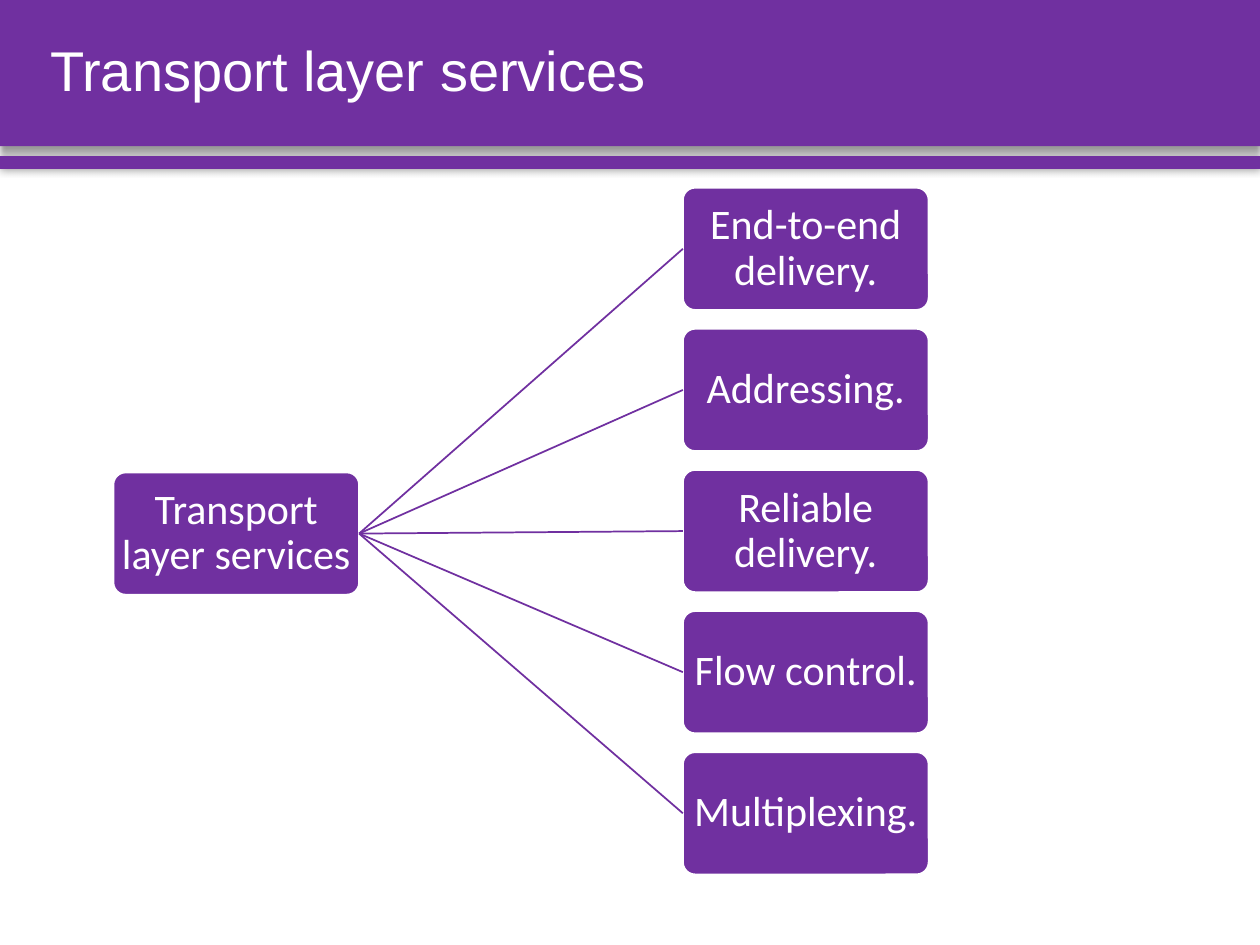
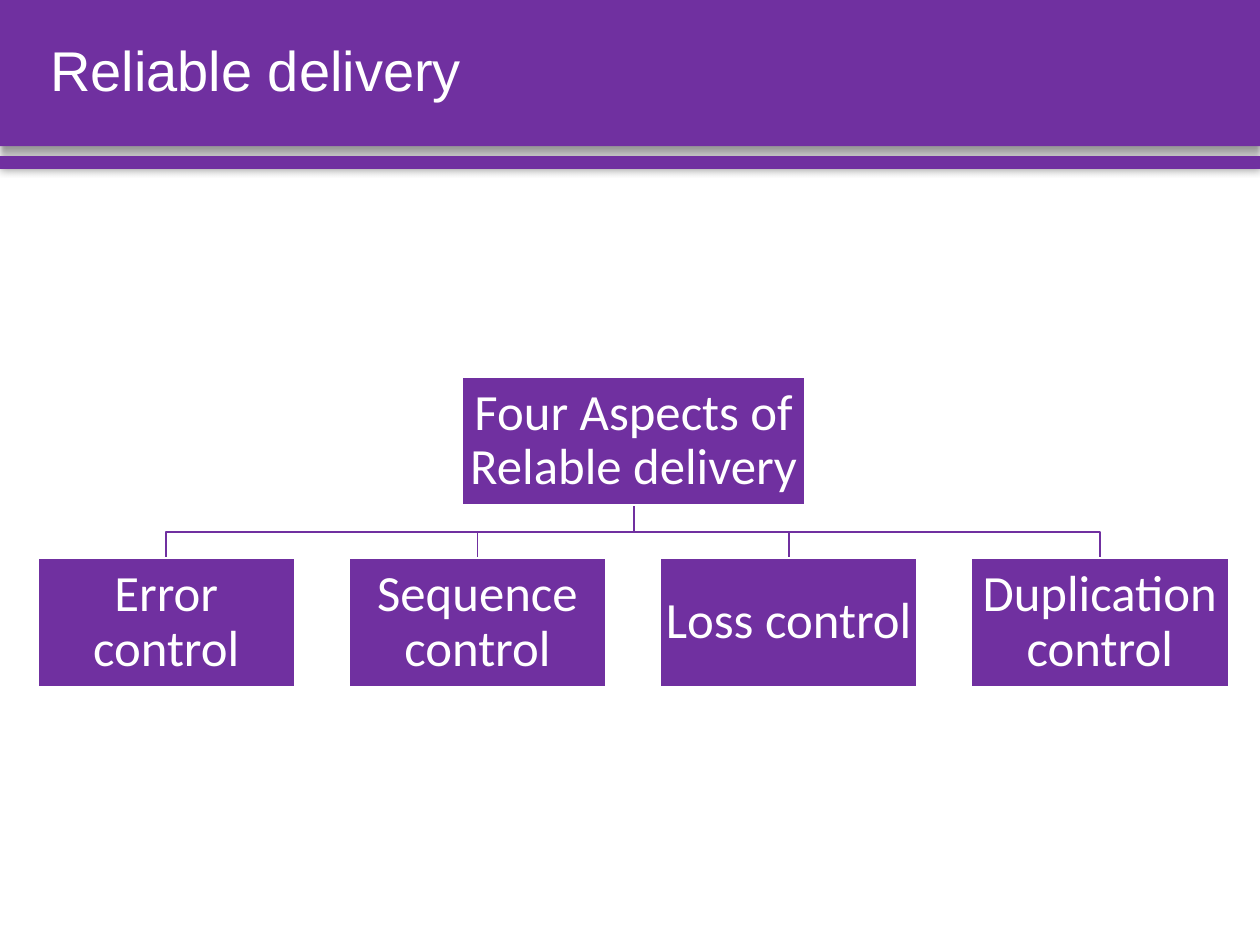
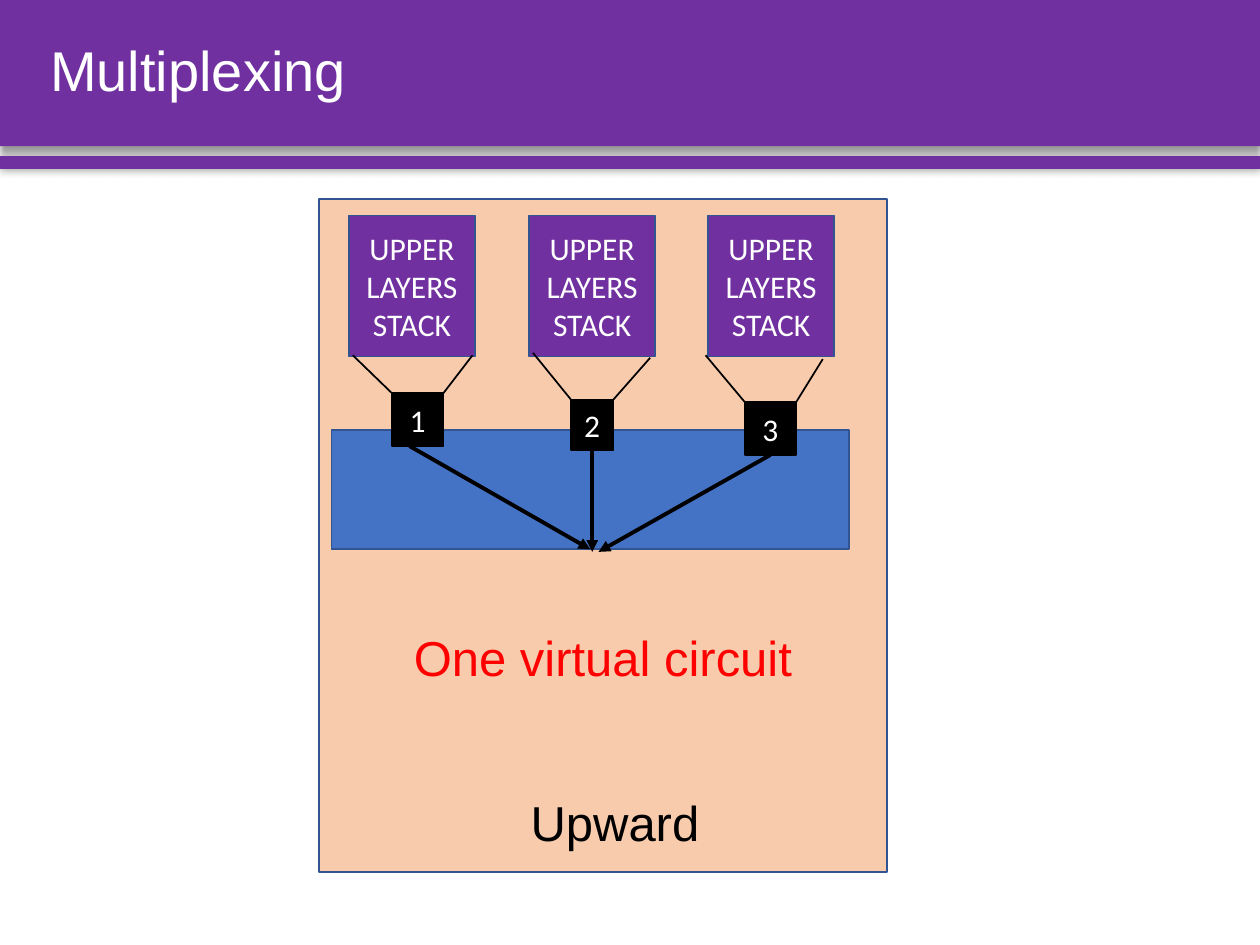
from dataclasses import dataclass

from lxml.etree import SubElement
from pptx import Presentation
from pptx.dml.color import RGBColor
from pptx.enum.shapes import MSO_CONNECTOR, MSO_SHAPE
from pptx.enum.text import MSO_ANCHOR, PP_ALIGN
from pptx.oxml.ns import qn
from pptx.shapes.autoshape import Shape
from pptx.shapes.connector import Connector
from pptx.slide import Slide
from pptx.util import Inches, Pt

PURPLE = RGBColor(0x70, 0x30, 0xA0)
WHITE = RGBColor(0xFF, 0xFF, 0xFF)
BLACK = RGBColor(0x00, 0x00, 0x00)
RED = RGBColor(0xFF, 0x00, 0x00)
PEACH = RGBColor(0xF8, 0xCB, 0xAD)
BLUE = RGBColor(0x44, 0x72, 0xC4)
NAVY = RGBColor(0x32, 0x54, 0x91)

Point = tuple[float, float]


@dataclass(frozen=True)
class Area:
    left: float
    top: float
    width: float
    height: float

    def lengths(self) -> list[Inches]:
        return [Inches(n) for n in (self.left, self.top, self.width, self.height)]

    @property
    def center(self) -> float:
        return self.left + self.width / 2

    @property
    def right(self) -> float:
        return self.left + self.width

    @property
    def bottom(self) -> float:
        return self.top + self.height


@dataclass(frozen=True)
class TextStyle:
    size: float
    font: str = "Calibri"
    color: RGBColor = WHITE
    align: PP_ALIGN = PP_ALIGN.CENTER
    spacing: float = 1.0
    inset: float | None = None


@dataclass(frozen=True)
class BoxStyle:
    fill: RGBColor
    line: RGBColor | None = None
    kind: MSO_SHAPE = MSO_SHAPE.RECTANGLE


@dataclass(frozen=True)
class Band:
    area: Area
    blur: float
    distance: float
    direction: int


@dataclass(frozen=True)
class Stack:
    left: float
    port: Area
    number: str
    funnel_left: Point
    funnel_right: Point


BANDS = [
    Band(Area(0, 0, 10, 1.16), 4, 3, 90),
    Band(Area(0, 1.24, 10, 0.1), 5, 0, 0),
]
TITLE_AREA = Area(0.3, 0, 9.46, 1.16)
TITLE_TEXT = TextStyle(32, "Arial", align=PP_ALIGN.LEFT, spacing=0.9)

SERVICES = [
    "End-to-end delivery.",
    "Addressing.",
    "Reliable delivery.",
    "Flow control.",
    "Multiplexing.",
]
SERVICE_PITCH = 1.12
SERVICE_BOX = BoxStyle(PURPLE, WHITE, MSO_SHAPE.ROUNDED_RECTANGLE)
SERVICE_TEXT = TextStyle(24, spacing=0.9, inset=0.02)

ASPECTS = ["Error control", "Sequence control", "Loss control", "Duplication control"]
ASPECT_PITCH = 2.47
ASPECT_BOX = BoxStyle(PURPLE, WHITE)
ASPECT_TEXT = TextStyle(29, spacing=0.9, inset=0.02)

STACKS = [
    Stack(2.77, Area(3.11, 3.12, 0.41, 0.42), "1", (2.8, 2.82), (3.75, 2.82)),
    Stack(4.2, Area(4.53, 3.17, 0.34, 0.4), "2", (4.23, 2.8), (5.16, 2.84)),
    Stack(5.62, Area(5.91, 3.19, 0.41, 0.42), "3", (5.6, 2.82), (6.53, 2.85)),
]
STACK_TEXT = TextStyle(18)


def write(shape: Shape, text: str, style: TextStyle, anchor: MSO_ANCHOR) -> None:
    frame = shape.text_frame
    frame.word_wrap = True
    frame.vertical_anchor = anchor
    if style.inset is not None:
        frame.margin_left = frame.margin_right = Inches(style.inset)
        frame.margin_top = frame.margin_bottom = Inches(style.inset)
    para = frame.paragraphs[0]
    para.text = text
    para.alignment = style.align
    para.line_spacing = style.spacing
    para.font.size = Pt(style.size)
    para.font.name = style.font
    para.font.color.rgb = style.color


def add_box(page: Slide, area: Area, style: BoxStyle,
            text: str = "", text_style: TextStyle = STACK_TEXT) -> Shape:
    box = page.shapes.add_shape(style.kind, *area.lengths())
    box.shadow.inherit = False
    if style.kind == MSO_SHAPE.ROUNDED_RECTANGLE:
        box.adjustments[0] = 0.1
    box.fill.solid()
    box.fill.fore_color.rgb = style.fill
    if style.line is None:
        box.line.fill.background()
    else:
        box.line.color.rgb = style.line
        box.line.width = Pt(1)
    if text:
        write(box, text, text_style, MSO_ANCHOR.MIDDLE)
    return box


def add_label(page: Slide, area: Area, text: str, style: TextStyle,
              anchor: MSO_ANCHOR = MSO_ANCHOR.TOP) -> None:
    write(page.shapes.add_textbox(*area.lengths()), text, style, anchor)


def add_line(page: Slide, start: Point, end: Point, color: RGBColor,
             width: float = 1, arrow: bool = False) -> Connector:
    line = page.shapes.add_connector(
        MSO_CONNECTOR.STRAIGHT, *(Inches(n) for n in (*start, *end)))
    line.line.color.rgb = color
    line.line.width = Pt(width)
    if arrow:
        SubElement(line.line._get_or_add_ln(), qn("a:tailEnd"), type="triangle")
    SubElement(line._element.spPr, qn("a:effectLst"))
    return line


def add_band(page: Slide, band: Band) -> None:
    shape = add_box(page, band.area, BoxStyle(PURPLE))
    effects = shape._element.spPr.find(qn("a:effectLst"))
    shadow = SubElement(
        effects, qn("a:outerShdw"), blurRad=str(Pt(band.blur)),
        dist=str(Pt(band.distance)), dir=str(band.direction * 60000),
        algn="t", rotWithShape="0")
    color = SubElement(shadow, qn("a:srgbClr"), val=str(BLACK))
    SubElement(color, qn("a:alpha"), val="40000")


def add_page(deck: Presentation, title: str) -> Slide:
    page = deck.slides.add_slide(deck.slide_layouts[6])
    for band in BANDS:
        add_band(page, band)
    add_label(page, TITLE_AREA, title, TITLE_TEXT, MSO_ANCHOR.MIDDLE)
    return page


def add_branch(page: Slide, parent: Area, child: Area) -> None:
    middle = (parent.bottom + child.top) / 2
    points = [(parent.center, parent.bottom), (parent.center, middle),
              (child.center, middle), (child.center, child.top)]
    start, *rest = [(Inches(x), Inches(y)) for x, y in points]
    builder = page.shapes.build_freeform(*start)
    builder.add_line_segments(rest, close=False)
    branch = builder.convert_to_shape()
    branch.shadow.inherit = False
    branch.fill.background()
    branch.line.color.rgb = PURPLE
    branch.line.width = Pt(1)


def build_services(deck: Presentation) -> None:
    page = add_page(deck, "Transport layer services")
    root_area = Area(0.9, 3.75, 1.95, 0.97)
    root = add_box(page, root_area, SERVICE_BOX, "Transport layer services", SERVICE_TEXT)
    for index, service in enumerate(SERVICES):
        area = Area(5.42, 1.49 + index * SERVICE_PITCH, 1.95, 0.97)
        box = add_box(page, area, SERVICE_BOX, service, SERVICE_TEXT)
        line = add_line(page, (root_area.right, root_area.top), (area.left, area.top), PURPLE)
        line.begin_connect(root, 3)
        line.end_connect(box, 1)


def build_reliability(deck: Presentation) -> None:
    page = add_page(deck, "Reliable delivery")
    root = Area(3.67, 2.99, 2.72, 1.02)
    areas = [Area(0.3 + index * ASPECT_PITCH, 4.43, 2.04, 1.02)
             for index in range(len(ASPECTS))]
    for area in areas:
        add_branch(page, root, area)
    add_box(page, root, ASPECT_BOX, "Four Aspects of Relable delivery", ASPECT_TEXT)
    for area, aspect in zip(areas, ASPECTS):
        add_box(page, area, ASPECT_BOX, aspect, ASPECT_TEXT)


def build_multiplexing(deck: Presentation) -> None:
    page = add_page(deck, "Multiplexing")
    add_box(page, Area(2.53, 1.58, 4.51, 5.34), BoxStyle(PEACH, NAVY))
    for stack in STACKS:
        add_box(page, Area(stack.left, 1.71, 1, 1.12), BoxStyle(PURPLE, NAVY),
                "UPPER\vLAYERS\vSTACK")
    for stack in STACKS:
        port = stack.port
        add_line(page, stack.funnel_left, (port.left, port.top), BLACK)
        add_line(page, stack.funnel_right, (port.right, port.top), BLACK)
    transport = add_box(page, Area(2.63, 3.41, 4.11, 0.95), BoxStyle(BLUE, NAVY))
    first, second, third = [
        add_box(page, stack.port, BoxStyle(BLACK, BLACK), stack.number) for stack in STACKS]

    for port, start, end in [(third, (6.11, 3.62), (4.75, 4.38)),
                             (second, (4.71, 3.59), (4.7, 4.38))]:
        add_line(page, start, end, BLACK, 2.25, arrow=True).begin_connect(port, 2)
    arrow = add_line(page, (3.25, 3.54), (4.68, 4.36), BLACK, 2.25, arrow=True)
    arrow.end_connect(transport, 2)

    add_label(page, Area(2.92, 4.93, 3.73, 0.57), "One virtual circuit",
              TextStyle(28, "Arial", RED))
    add_label(page, Area(3.54, 6.24, 2.68, 0.57), "Upward", TextStyle(28, "Arial", BLACK))


def main() -> None:
    deck = Presentation()
    deck.slide_width = Inches(10)
    deck.slide_height = Inches(7.5)
    build_services(deck)
    build_reliability(deck)
    build_multiplexing(deck)
    deck.save("out.pptx")


if __name__ == "__main__":
    main()
